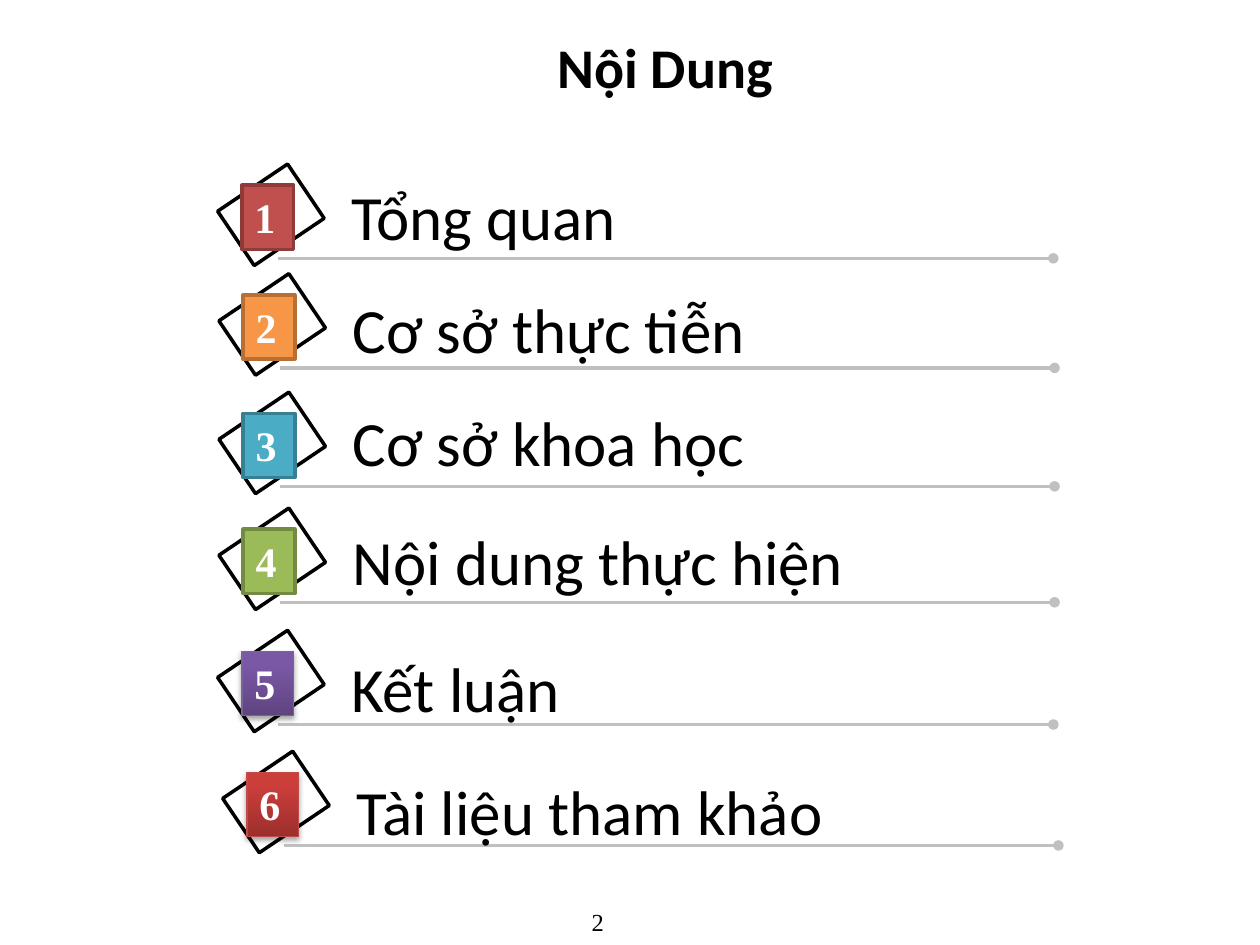
from lxml.etree import SubElement
from pptx import Presentation
from pptx.dml.color import RGBColor
from pptx.enum.shapes import MSO_CONNECTOR, MSO_SHAPE
from pptx.enum.text import MSO_ANCHOR as Anchor, PP_ALIGN as Align
from pptx.oxml import parse_xml
from pptx.oxml.ns import nsdecls, qn
from pptx.util import Inches, Pt

BLACK = RGBColor(0x00, 0x00, 0x00)
WHITE = RGBColor(0xFF, 0xFF, 0xFF)
GREY = RGBColor(0xC0, 0xC0, 0xC0)
RED = RGBColor(0xC0, 0x50, 0x4D)
RED_EDGE = RGBColor(0x8E, 0x3B, 0x39)
ORANGE = RGBColor(0xF7, 0x96, 0x46)
ORANGE_EDGE = RGBColor(0xB7, 0x6F, 0x34)
TEAL = RGBColor(0x4B, 0xAC, 0xC6)
TEAL_EDGE = RGBColor(0x37, 0x7F, 0x92)
GREEN = RGBColor(0x9B, 0xBB, 0x59)
GREEN_EDGE = RGBColor(0x73, 0x8A, 0x42)
PURPLE_DARK = RGBColor(0x5F, 0x44, 0x80)
PURPLE = RGBColor(0x7B, 0x58, 0xA6)
PURPLE_EDGE = RGBColor(0x7D, 0x60, 0xA0)
CRIMSON_DARK = RGBColor(0x9C, 0x2F, 0x2D)
CRIMSON = RGBColor(0xCB, 0x3E, 0x3A)
CRIMSON_EDGE = RGBColor(0xBF, 0x4C, 0x48)

# Columns, measured from the left edge of a row's tilted frame
BADGE_X, RULE_X, LABEL_X, RULE_END = 0.03, 0.32, 0.8, 6.47
# Heights, measured from the top of the frame
BADGE_Y, RULE_Y = 0.1, 0.68

# Label, row left, row top, label shift, label width, badge fill colours, badge edge
ROWS = [
    ("Tổng quan", 1.89, 1.37, -0.01, 5.68, [RED], RED_EDGE),
    ("Cơ sở thực tiễn", 1.9, 2.24, 0.02, 5.58, [ORANGE], ORANGE_EDGE),
    ("Cơ sở khoa học", 1.9, 3.18, -0.03, 5.61, [TEAL], TEAL_EDGE),
    ("Nội dung thực hiện", 1.9, 4.1, 0, 5.51, [GREEN], GREEN_EDGE),
    ("Kết luận", 1.89, 5.07, 0.04, 6.4, [PURPLE_DARK, PURPLE], PURPLE_EDGE),
    ("Tài liệu tham khảo", 1.93, 6.03, 0.05, 5.57, [CRIMSON_DARK, CRIMSON], CRIMSON_EDGE),
]


def write(holder, text, size, font="Calibri", color=BLACK, bold=False,
          align=Align.LEFT, anchor=Anchor.TOP):
    frame = holder.text_frame
    frame.word_wrap = True
    frame.vertical_anchor = anchor
    paragraph = frame.paragraphs[0]
    paragraph.alignment = align
    run = paragraph.add_run()
    run.text = text
    run.font.size = Pt(size)
    run.font.name = font
    run.font.bold = bold
    run.font.color.rgb = color


def add_box(shapes, left, top, width, height, edge, weight):
    """Add a rectangle without theme shadow; its fill is left to the caller."""
    box = shapes.add_shape(MSO_SHAPE.RECTANGLE, Inches(left), Inches(top),
                           Inches(width), Inches(height))
    box.shadow.inherit = False
    box.line.color.rgb = edge
    box.line.width = Pt(weight)
    return box


prs = Presentation()
prs.slide_width, prs.slide_height = Inches(10), Inches(7.5)
slide = prs.slides.add_slide(prs.slide_layouts[5])

title = slide.shapes.title
title.left, title.top = Inches(0.78), Inches(0.05)
title.width, title.height = Inches(9), Inches(0.95)
write(title, "Nội Dung", 32, bold=True, align=Align.CENTER, anchor=Anchor.MIDDLE)

for number, (topic, left, top, shift, width, colors, edge) in enumerate(ROWS, start=1):
    row = slide.shapes.add_group_shape().shapes

    rule_y = Inches(top + RULE_Y)
    rule = row.add_connector(MSO_CONNECTOR.STRAIGHT, Inches(left + RULE_X), rule_y,
                             Inches(left + RULE_END), rule_y)
    rule.line.color.rgb = GREY
    rule.line.width = Pt(2)
    SubElement(rule.line._get_or_add_ln(), qn("a:tailEnd"), type="oval")
    SubElement(rule._element.spPr, qn("a:effectLst"))

    frame = add_box(row, left, top, 0.52, 0.67, BLACK, 2)
    frame.rotation = 56
    frame.fill.solid()
    frame.fill.fore_color.rgb = WHITE

    label = row.add_textbox(Inches(left + LABEL_X), Inches(top + shift),
                            Inches(width), Inches(0.57))
    write(label, topic, 36)

    shaded = len(colors) > 1
    badge = add_box(row, left + BADGE_X, top + BADGE_Y, 0.41, 0.51, edge,
                    0.75 if shaded else 2)
    if shaded:
        badge.fill.gradient()
        badge.fill.gradient_angle = 90
        for stop, color, position in zip(badge.fill.gradient_stops, colors, (0, 0.8)):
            stop.color.rgb = color
            stop.position = position
        badge._element.spPr.find(qn("a:effectLst")).append(parse_xml(
            f'<a:outerShdw {nsdecls("a")} blurRad="{Pt(3.1)}" dist="{Pt(1.8)}" '
            'dir="5400000" rotWithShape="0"><a:srgbClr val="000000">'
            '<a:alpha val="35000"/></a:srgbClr></a:outerShdw>'))
    else:
        badge.fill.solid()
        badge.fill.fore_color.rgb = colors[0]
    write(badge, str(number), 24, font="Times New Roman", color=WHITE, bold=True)

page_number = slide.shapes.add_textbox(Inches(3.58), Inches(7.15), Inches(2.33), Inches(0.35))
write(page_number, "2", 14, font="Times New Roman", align=Align.CENTER)

prs.save("out.pptx")
